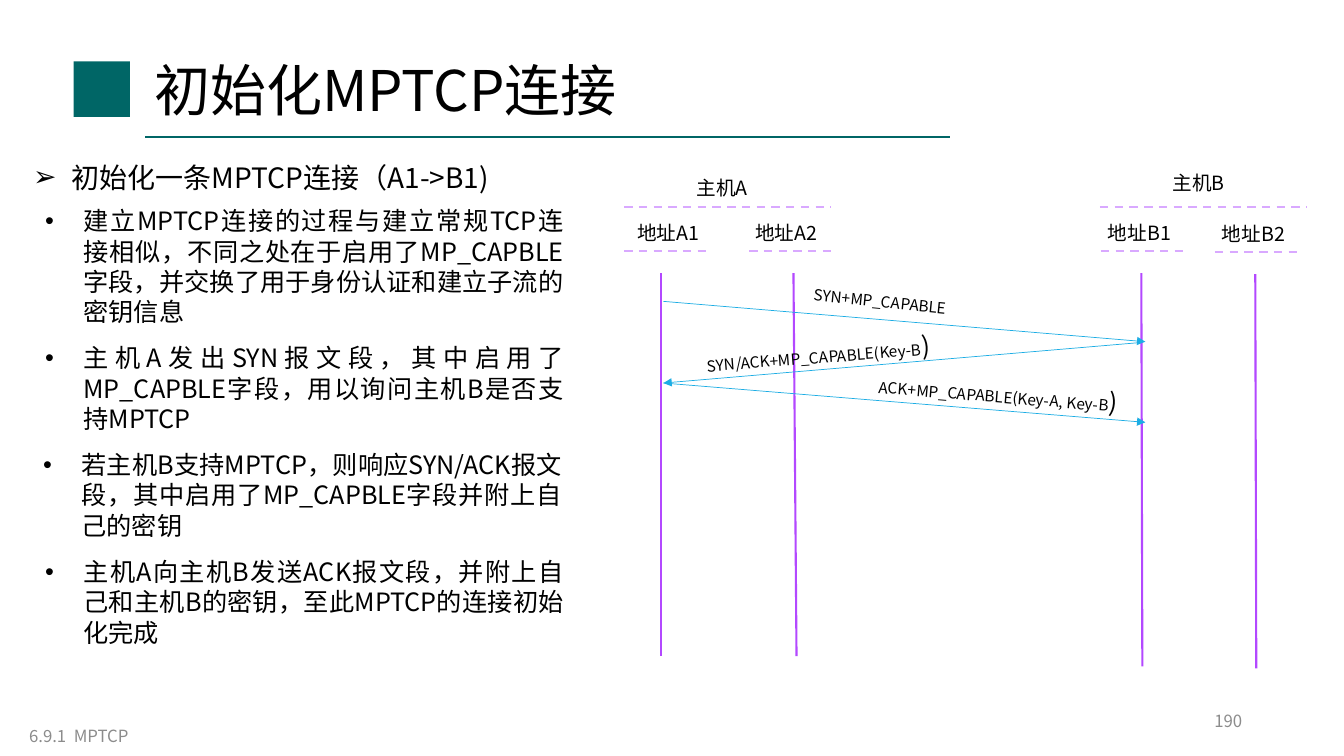
"""Build the slide on opening an MPTCP connection, on a grid of tenth-inch columns and rows."""
from dataclasses import dataclass

import pptx
import pptx.dml.color
import pptx.enum.dml
import pptx.enum.shapes
import pptx.enum.text
import pptx.oxml
import pptx.oxml.ns
import pptx.util

FONT = "Noto Sans CJK SC"
BLACK, GREY, TEAL = "000000", "8C8C8C", "006666"
PURPLE, LILAC, BLUE = "B348FF", "D9A9FF", "1CADE4"
ALIGN = pptx.enum.text.PP_ALIGN
MIDDLE = pptx.enum.text.MSO_ANCHOR.MIDDLE
LEADING = 1.2
HANGING = 3.8
LABEL_ROWS = 3.4
UNDERLINE_COLUMNS = 8.1
HOST_COLUMNS = 20.5


@dataclass
class Label:
    """A text box placed by column and row."""
    column: float
    row: float
    columns: float
    rows: float
    spans: list[tuple[str, float]]
    color: str = BLACK
    bullet: str = ""
    rotation: float = 0
    align: ALIGN = ALIGN.LEFT
    anchor: pptx.enum.text.MSO_ANCHOR = pptx.enum.text.MSO_ANCHOR.TOP


@dataclass
class Rule:
    """A straight line between two grid points."""
    start: tuple[float, float]
    end: tuple[float, float]
    color: str
    points: float = 1.5
    dashed: bool = False
    arrow: bool = False


@dataclass
class Address:
    """An address with its underline and lifeline."""
    name: str
    text_column: float
    underline_column: float
    row: float
    top: tuple[float, float]
    bottom: tuple[float, float]


@dataclass
class Host:
    """A host heading over its addresses."""
    name: str
    text_column: float
    text_row: float
    underline_column: float


HOSTS = [Host("主机A", 68.1, 17, 61.9), Host("主机B", 115.3, 16.5, 109.1)]

ADDRESSES = [
    Address("地址A1", 62.2, 61.9, 21.4, (65.6, 27.1), (65.6, 65.1)),
    Address("地址A2", 73.9, 74.3, 21.4, (78.7, 27.1), (79, 65.1)),
    Address("地址B1", 108.9, 109.2, 21.4, (113.2, 27.1), (113.3, 66.1)),
    Address("地址B2", 120.2, 120.5, 21.5, (124.5, 27.2), (124.6, 66.3)),
]

MESSAGES = [
    Rule((65.8, 29.9), (113.6, 33.9), BLUE, 0.5, arrow=True),
    Rule((112.9, 34), (65.8, 38), BLUE, 0.5, arrow=True),
    Rule((65.8, 38), (113.6, 41.9), BLUE, 0.5, arrow=True),
]

MESSAGE_LABELS = [
    Label(79.7, 28.8, 21.6, 2.9, [("SYN+MP_CAPABLE", 11)], rotation=5.6),
    Label(69.1, 32.9, 27.9, 4, [("SYN/ACK+MP_CAPABLE(Key-B", 11), (")", 18)], rotation=355.5),
    Label(86.2, 37.1, 28.9, 4, [("ACK+MP_CAPABLE(Key-A, Key-B", 11), (")", 18)], rotation=4.6),
]

STEPS = [
    (3.5, 19.9, 13.1, "建立MPTCP连接的过程与建立常规TCP连接相似，不同之处在于启用了MP_CAPBLE字段，"
     "并交换了用于身份认证和建立子流的密钥信息"),
    (3.5, 33.5, 10.1, "主机A发出SYN报文段，其中启用了MP_CAPBLE字段，用以询问主机B是否支持MPTCP"),
    (3.3, 44.1, 10.1, "若主机B支持MPTCP，则响应SYN/ACK报文段，其中启用了MP_CAPBLE字段并附上自己的密钥"),
    (3.5, 54.7, 10.1, "主机A向主机B发送ACK报文段，并附上自己和主机B的密钥，至此MPTCP的连接初始化完成"),
]


def grid(steps: float) -> int:
    """Turn grid columns or rows into a length."""
    return pptx.util.Inches(round(steps / 10, 2))


def rgb(color: str) -> pptx.dml.color.RGBColor:
    """Turn a hex string into a colour."""
    return pptx.dml.color.RGBColor.from_string(color)


def add_element(parent, tag: str, **attributes: str) -> None:
    """Append a drawing element with its attributes."""
    child = pptx.oxml.ns.qn(tag)
    element = parent.makeelement(child, attributes)
    parent.append(element)


def apply(target, values: dict) -> None:
    """Set every format value on the target."""
    for name, value in values.items():
        setattr(target, name, value)


def write(box, label: Label) -> None:
    """Place a text shape and fill in its only paragraph."""
    apply(box, {"left": grid(label.column), "top": grid(label.row), "width": grid(label.columns),
                "height": grid(label.rows), "rotation": label.rotation})
    frame = box.text_frame
    apply(frame, {"word_wrap": True, "vertical_anchor": label.anchor,
                  "auto_size": pptx.enum.text.MSO_AUTO_SIZE.NONE})
    para = frame.paragraphs[0]
    largest = max(size for _, size in label.spans)
    apply(para, {"alignment": label.align,
                 "line_spacing": pptx.util.Pt(round(largest * LEADING, 1))})
    if label.bullet:
        properties = para._p.get_or_add_pPr()
        properties.set("marL", str(grid(HANGING)))
        properties.set("indent", str(-grid(HANGING)))
        add_element(properties, "a:buFont", typeface="Arial")
        add_element(properties, "a:buChar", char=label.bullet)
    for text, size in label.spans:
        span = para.add_run()
        span.text = text
        apply(span.font, {"size": pptx.util.Pt(size), "name": FONT})
        span.font.color.rgb = rgb(label.color)
        add_element(span._r.get_or_add_rPr(), "a:ea", typeface=FONT)


def add_label(page, label: Label) -> None:
    """Add a text box to the page."""
    write(page.shapes.add_textbox(0, 0, 0, 0), label)


def add_rule(page, rule: Rule) -> None:
    """Add a line or an arrow to the page."""
    ends = [grid(steps) for steps in (*rule.start, *rule.end)]
    connector = page.shapes.add_connector(pptx.enum.shapes.MSO_CONNECTOR.STRAIGHT, *ends)
    connector.line.color.rgb = rgb(rule.color)
    connector.line.width = pptx.util.Pt(rule.points)
    if rule.dashed:
        connector.line.dash_style = pptx.enum.dml.MSO_LINE.DASH
    properties = connector.element.spPr
    if rule.arrow:
        add_element(properties.find(pptx.oxml.ns.qn("a:ln")), "a:tailEnd", type="triangle")
    add_element(properties, "a:effectLst")


def add_underline(page, column: float, row: float, columns: float) -> None:
    """Add a dashed underline below a heading."""
    add_rule(page, Rule((column, row), (column + columns, row), LILAC, dashed=True))


def main() -> None:
    """Build and save the deck."""
    deck = pptx.Presentation()
    apply(deck, {"slide_width": grid(133.3), "slide_height": grid(75)})
    page = deck.slides.add_slide(deck.slide_layouts[5])
    write(page.shapes.title, Label(14.3, 4, 89.9, 9.6, [("初始化MPTCP连接", 40)], anchor=MIDDLE))

    badge = page.shapes.add_shape(pptx.enum.shapes.MSO_SHAPE.RECTANGLE,
                                  grid(7.3), grid(6.1), grid(5.6), grid(5.5))
    badge.shadow.inherit = False
    badge.fill.solid()
    badge.fill.fore_color.rgb = rgb(TEAL)
    badge.line.fill.background()
    add_rule(page, Rule((14.4, 13.6), (94.2, 13.6), TEAL))

    add_label(page, Label(2.3, 15.4, 55.9, 4.4, [("初始化一条MPTCP连接（A1->B1)", 20)],
                          bullet="➢", align=ALIGN.JUSTIFY))
    for column, row, rows, text in STEPS:
        add_label(page, Label(column, row, 53.4, rows, [(text, 18)], bullet="•", align=ALIGN.JUSTIFY))

    for host in HOSTS:
        add_label(page, Label(host.text_column, host.text_row, 9, LABEL_ROWS, [(host.name, 14)]))
        add_underline(page, host.underline_column, 20.5, HOST_COLUMNS)
    for address in ADDRESSES:
        add_label(page, Label(address.text_column, address.row, 9, LABEL_ROWS, [(address.name, 14)]))
        add_underline(page, address.underline_column, address.row + 3.5, UNDERLINE_COLUMNS)
        add_rule(page, Rule(address.top, address.bottom, PURPLE))
    for message in MESSAGES:
        add_rule(page, message)
    for label in MESSAGE_LABELS:
        add_label(page, label)

    add_label(page, Label(94.2, 69.5, 30, 4, [("190", 12)], GREY, align=ALIGN.RIGHT, anchor=MIDDLE))
    add_label(page, Label(1.9, 71, 30, 4, [("6.9.1  MPTCP", 12)], GREY, anchor=MIDDLE))
    deck.save("out.pptx")


if __name__ == "__main__":
    main()
